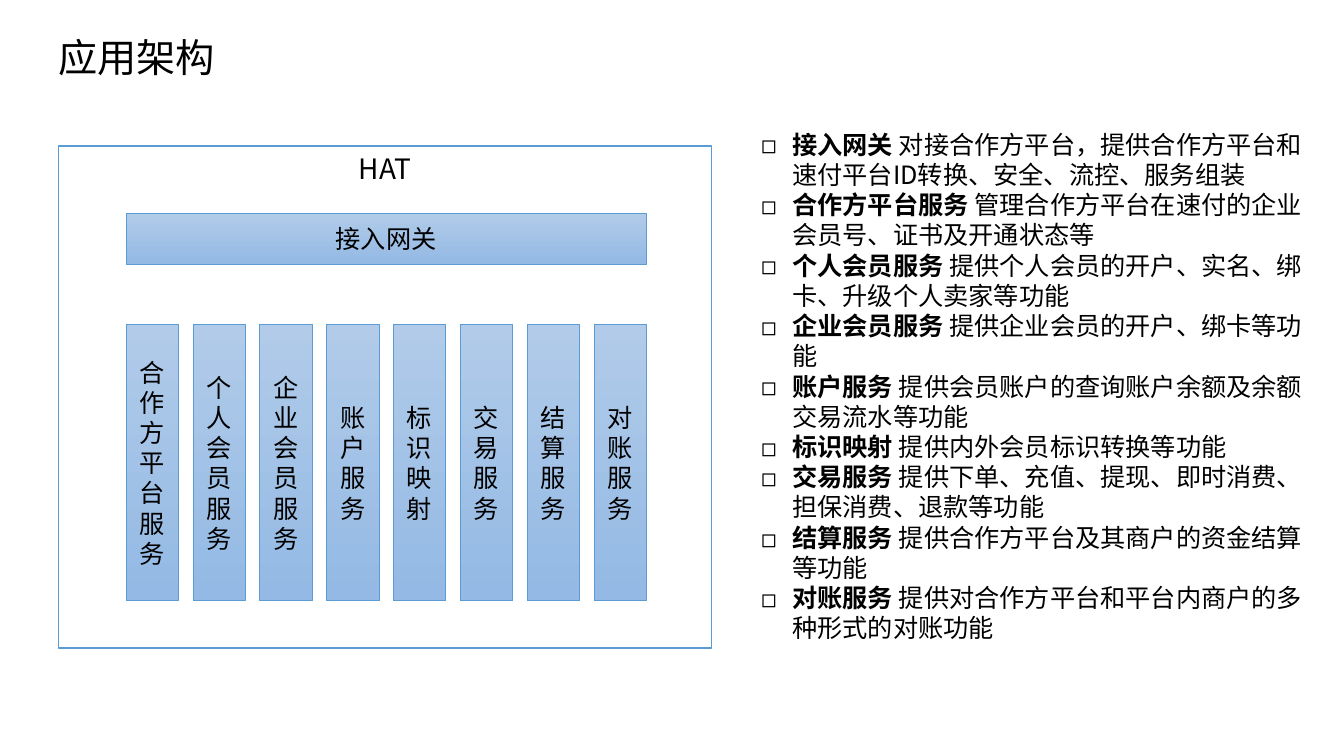
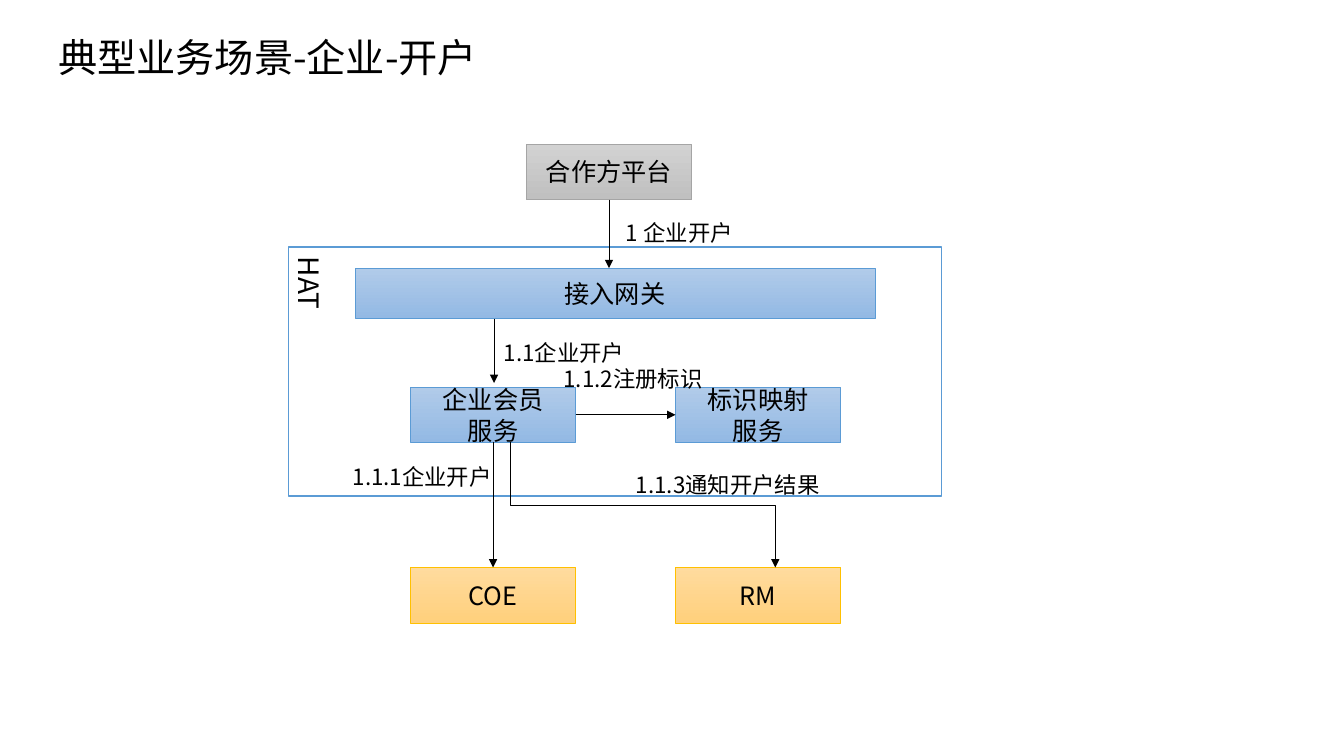
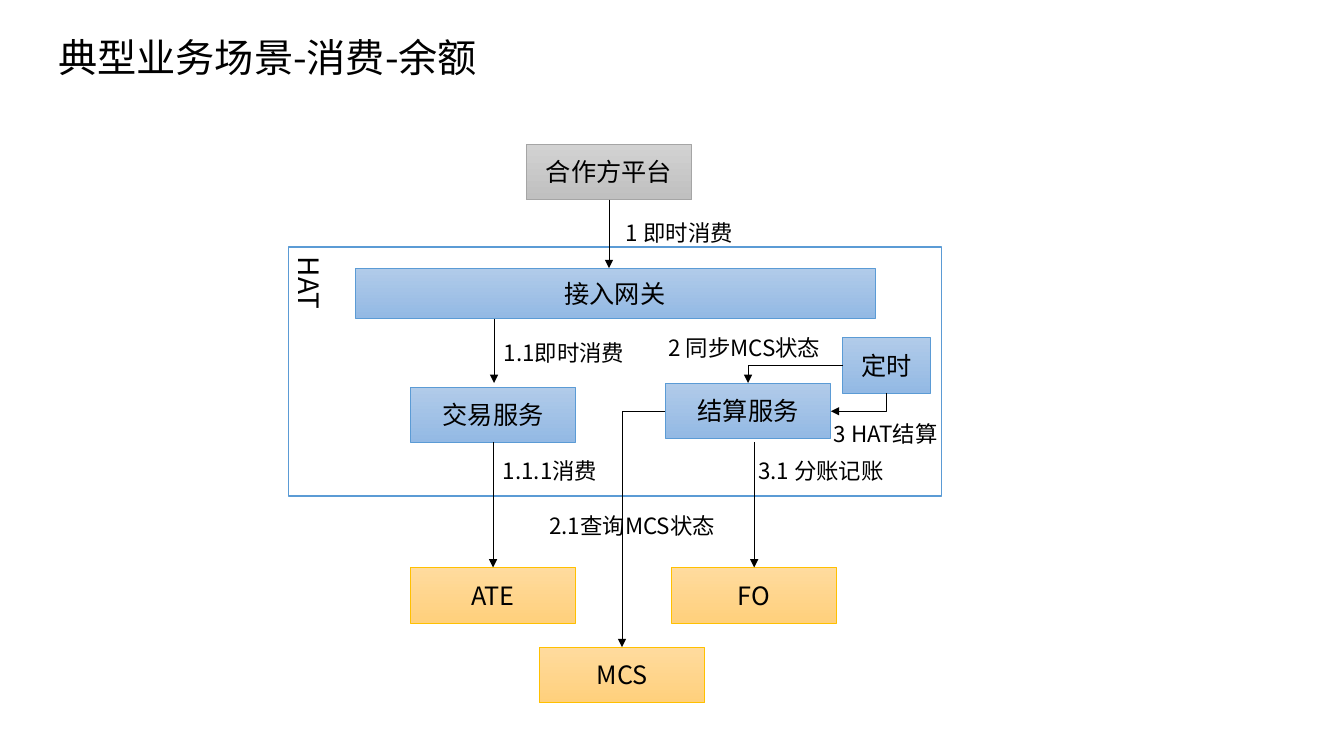
from lxml.etree import SubElement
from pptx import Presentation
from pptx.dml.color import RGBColor
from pptx.enum.shapes import MSO_CONNECTOR as Link, MSO_SHAPE as Form
from pptx.enum.text import MSO_ANCHOR as Anchor, MSO_AUTO_SIZE as Auto, PP_ALIGN as Align
from pptx.oxml.ns import qn
from pptx.util import Inches, Pt

FONT = "Noto Sans CJK SC"
HUES = {"ink": "000000", "paper": "FFFFFF", "edge": "5B9BD5"}
# top of the gradient, bottom of the gradient, outline
TONES = {
    "blue": ("B1CBE9", "93B9E4", "5B9BD5"),
    "grey": ("D2D2D2", "C0C0C0", "A5A5A5"),
    "gold": ("FFDB9E", "FFD07C", "FFC000"),
}
BOTTOM, LEFT, RIGHT, TOP = 2, 1, 3, 0
BOX = (16.4, 5.5)
BAR = (51.6, 5)
FRAME = 64.8


def cell(count):
    """Turn grid cells, a tenth of an inch each way, into a length."""
    return Inches(count / 10)


def hue(code):
    return RGBColor.from_string(code)


class Deck:
    def __init__(self):
        self.file = Presentation()
        self.file.slide_width = Inches(13.33)
        self.file.slide_height = Inches(7.5)
        self.page = None

    def start(self, title):
        self.page = self.file.slides.add_slide(self.file.slide_layouts[6])
        self.label(title, 4.8, 2.8, 95.8, 5.7, 28)

    def run(self, para, text, size, bold=False):
        run = para.add_run()
        run.text = text
        font = run.font
        font.name, font.size, font.bold = FONT, Pt(size), bold
        font.color.rgb = hue(HUES["ink"])
        SubElement(font._element, qn("a:ea")).set("typeface", FONT)

    def fill(self, body, lines, size, align):
        """Write one paragraph for each line."""
        body.word_wrap = True
        for i, line in enumerate(lines):
            para = body.paragraphs[0] if i == 0 else body.add_paragraph()
            para.alignment = align
            self.run(para, line, size)

    def area(self, x, y, w, h):
        box = self.page.shapes.add_textbox(cell(x), cell(y), cell(w), cell(h))
        body = box.text_frame
        body.word_wrap = True
        body.auto_size = Auto.SHAPE_TO_FIT_TEXT
        return body

    def label(self, text, x, y, w, h=3.7, size=16):
        self.fill(self.area(x, y, w, h), [text], size, Align.LEFT)

    def rect(self, x, y, w, h, edge, width):
        box = self.page.shapes.add_shape(Form.RECTANGLE, cell(x), cell(y), cell(w), cell(h))
        box.shadow.inherit = False
        box.line.color.rgb = hue(edge)
        box.line.width = Pt(width)
        return box

    def frame(self, x, y, h, side=False):
        """Draw the system border, its name on top or down the left side."""
        box = self.rect(x, y, FRAME, h, HUES["edge"], 1)
        box.fill.solid()
        box.fill.fore_color.rgb = hue(HUES["paper"])
        body = box.text_frame
        body.vertical_anchor = Anchor.BOTTOM if side else Anchor.TOP
        if side:
            body._txBody.bodyPr.set("vert", "eaVert")
        self.fill(body, ["HAT"], 20, Align.LEFT if side else Align.CENTER)

    def block(self, text, x, y, w=BOX[0], h=BOX[1], tone="blue"):
        first, last, edge = TONES[tone]
        box = self.rect(x, y, w, h, edge, 0.5)
        box.fill.gradient()
        box.fill.gradient_angle = 270
        for stop, code in zip(box.fill.gradient_stops, (first, last)):
            stop.color.rgb = hue(code)
        box.text_frame.vertical_anchor = Anchor.MIDDLE
        self.fill(box.text_frame, text.split("\n"), 18, Align.CENTER)
        return box

    def wire(self, kind, x1, y1, x2, y2):
        line = self.page.shapes.add_connector(kind, cell(x1), cell(y1), cell(x2), cell(y2))
        line.line.color.rgb = hue(HUES["ink"])
        line.line.width = Pt(0.5)
        SubElement(line.line._get_or_add_ln(), qn("a:tailEnd")).set("type", "triangle")
        SubElement(line._element.spPr, qn("a:effectLst"))
        return line

    def arrow(self, x1, y1, x2, y2, head=None, tail=None):
        """Draw a straight arrow; head and tail are (box, side) to join."""
        line = self.wire(Link.STRAIGHT, x1, y1, x2, y2)
        if head:
            line.begin_connect(*head)
        if tail:
            line.end_connect(*tail)

    def bend(self, x1, y1, x2, y2, down=False, turns=1):
        """Draw a bent arrow that sets out sideways, or downwards."""
        ends = (x1, y1, x2, y2)
        if down:
            mx, my = (x1 + x2) / 2, (y1 + y2) / 2
            dx, dy = (x2 - x1) / 2, (y2 - y1) / 2
            ends = (mx - dy, my + dx, mx + dy, my - dx)
        spot = self.wire(Link.ELBOW, *ends)._element.spPr
        spot.find(qn("a:prstGeom")).set("prst", f"bentConnector{turns + 1}")
        if down:
            spot.find(qn("a:xfrm")).set("rot", "5400000")

    def list(self, items, x, y, w, h):
        body = self.area(x, y, w, h)
        for i, (name, text) in enumerate(items):
            para = body.paragraphs[0] if i == 0 else body.add_paragraph()
            props = para._p.get_or_add_pPr()
            props.set("marL", str(cell(3.1)))
            props.set("indent", str(-cell(3.1)))
            SubElement(props, qn("a:buFont")).set("typeface", FONT)
            SubElement(props, qn("a:buChar")).set("char", "◻")
            self.run(para, name + " ", 18, True)
            self.run(para, text, 18)

    def flow(self, title, call, name, target):
        """Draw what both scenes share: platform, gateway, service, target."""
        self.start(title)
        self.frame(28.6, 24.5, 24.7, side=True)
        self.block("接入网关", 35.2, 26.6, *BAR)
        host = self.block("合作方平台", 52.2, 14.3, tone="grey")
        unit = self.block(name, 40.7, 38.4)
        goal = self.block(target, 40.7, 56.3, tone="gold")
        self.arrow(60.4, 19.8, 60.4, 26.6, (host, BOTTOM))
        self.arrow(49, 31.6, 49, 38)
        self.arrow(48.9, 43.9, 48.9, 56.3, (unit, BOTTOM), (goal, TOP))
        self.label("1 " + call, 61.1, 21.2, 16.5)
        self.label("1.1" + call, 49, 33.2, 15.5)
        return unit


def design(deck):
    deck.start("应用架构")
    deck.frame(5.8, 14.5, 49.8)
    deck.block("接入网关", 12.5, 21.2, *BAR)
    names = ["合作方平台服务", "个人会员服务", "企业会员服务", "账户服务",
             "标识映射", "交易服务", "结算服务", "对账服务"]
    wide = 5.2
    step = (BAR[0] - wide) / (len(names) - 1)
    for i, name in enumerate(names):
        deck.block(name, 12.5 + i * step, 32.2, wide, 27.4)
    texts = [
        "对接合作方平台，提供合作方平台和速付平台ID转换、安全、流控、服务组装",
        "管理合作方平台在速付的企业会员号、证书及开通状态等",
        "提供个人会员的开户、实名、绑卡、升级个人卖家等功能",
        "提供企业会员的开户、绑卡等功能",
        "提供会员账户的查询账户余额及余额交易流水等功能",
        "提供内外会员标识转换等功能",
        "提供下单、充值、提现、即时消费、担保消费、退款等功能",
        "提供合作方平台及其商户的资金结算等功能",
        "提供对合作方平台和平台内商户的多种形式的对账功能",
    ]
    deck.list(zip(["接入网关"] + names, texts), 74.5, 12.3, 55.9, 58.6)


def account(deck):
    unit = deck.flow("典型业务场景-企业-开户", "企业开户", "企业会员\n服务", "COE")
    marks = deck.block("标识映射\n服务", 67, 38.4)
    deck.block("RM", 67, 56.3, tone="gold")
    deck.arrow(57.1, 41.1, 67, 41.1, (unit, RIGHT), (marks, LEFT))
    deck.bend(50.6, 43.9, 76.9, 56.3, down=True, turns=2)
    deck.label("1.1.1企业开户", 34, 45.5, 17.1)
    deck.label("1.1.2注册标识", 54.9, 35.7, 17.1)
    deck.label("1.1.3通知开户结果", 62.1, 46.2, 21.4)


def spend(deck):
    deck.flow("典型业务场景-消费-余额", "即时消费", "交易服务", "ATE")
    deck.block("结算服务", 66, 38)
    deck.block("MCS", 53.5, 64.2, tone="gold")
    books = deck.block("FO", 66.6, 56.3, tone="gold")
    deck.block("定时", 83.6, 33.5, 8.7)
    deck.arrow(74.8, 43.9, 74.8, 56.3, tail=(books, TOP))
    deck.bend(83.6, 36.3, 74.2, 38)
    deck.bend(66, 40.8, 61.7, 64.2)
    deck.bend(87.9, 39, 82.4, 40.8, down=True)
    deck.label("1.1.1消费", 48.9, 44.9, 17.3)
    for text, x, y in [("2 同步MCS状态", 65.3, 32.7), ("2.1查询MCS状态", 53.5, 50.3),
                       ("3 HAT结算", 81.7, 41.2), ("3.1 分账记账", 74.2, 44.9)]:
        deck.label(text, x, y, 19)


def main():
    deck = Deck()
    for scene in (design, account, spend):
        scene(deck)
    deck.file.save("out.pptx")


if __name__ == "__main__":
    main()
